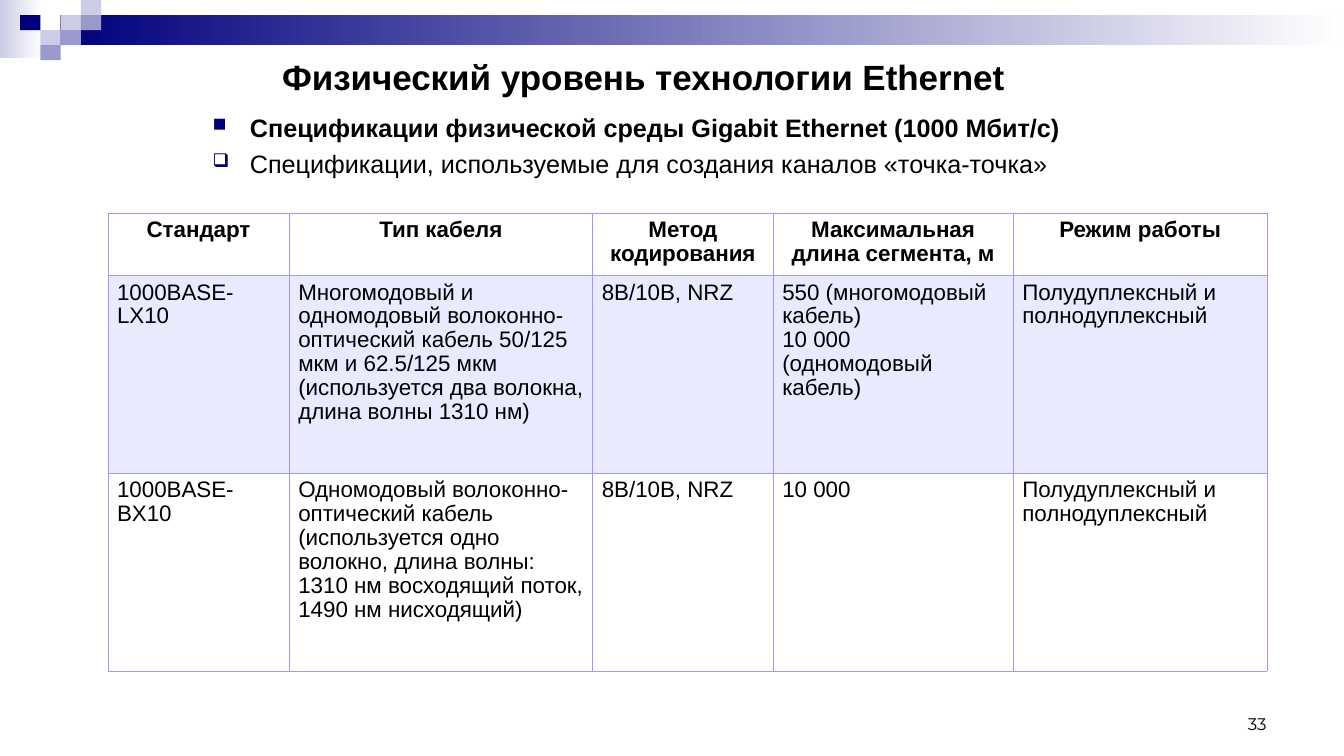
from lxml.etree import SubElement as Sub
from pptx import Presentation as Deck
from pptx.dml.color import RGBColor as Rgb
from pptx.enum.shapes import MSO_SHAPE as Form
from pptx.enum.text import MSO_ANCHOR as Anchor, PP_ALIGN as Align
from pptx.oxml.ns import qn
from pptx.util import Cm, Pt

NAVY, MID, PALE, LINE = "00007D", "9999CC", "CCCCE6", "9999FF"
WHITE, BLACK = "FFFFFF", "000000"
WIDE, HIGH = 0.51, 0.38
TILES = [(3, 1, PALE), (4, 0, PALE), (4, 1, MID), (2, 2, PALE),
         (1, 1, NAVY), (3, 2, MID), (2, 3, MID)]
BARS = [(0, 0, 1.07, 1.47, PALE), (1.52, 0.38, 32.33, 0.76, NAVY)]
COLS = [4.57, 7.65, 4.55, 6.05, 6.4]
ROWS = [1.57, 4.98, 4.98]
CELLS = [
    ["Стандарт", "Тип кабеля", "Метод кодирования",
     "Максимальная длина сегмента, м", "Режим работы"],
    ["1000BASE-LX10",
     "Многомодовый и одномодовый волоконно-оптический кабель 50/125 мкм "
     "и 62.5/125 мкм (используется два волокна, длина волны 1310 нм)",
     "8B/10B, NRZ",
     "550 (многомодовый кабель)\n10 000 (одномодовый кабель)",
     "Полудуплексный и полнодуплексный"],
    ["1000BASE-BX10",
     "Одномодовый волоконно-оптический кабель (используется одно волокно, "
     "длина волны: 1310 нм восходящий поток, 1490 нм нисходящий)",
     "8B/10B, NRZ", "10 000", "Полудуплексный и полнодуплексный"],
]
POINTS = [
    ("■", "Спецификации физической среды Gigabit Ethernet (1000 Мбит/с)",
     True, 0),
    ("❑", "Спецификации, используемые для создания каналов «точка-точка»",
     False, 4.5),
]


def tint(code):
    return Rgb.from_string(code)


def style(item, **vals):
    for name, val in vals.items():
        setattr(item, name, val)


def write(para, text, size, bold=False, face="Arial"):
    run = para.add_run()
    run.text = text
    style(run.font, size=Pt(size), bold=bold, name=face)
    run.font.color.rgb = tint(BLACK)


def block(slide, box):
    shape = slide.shapes.add_shape(Form.RECTANGLE, *map(Cm, box))
    shape.shadow.inherit = False
    shape.line.fill.background()
    return shape


def tile(slide, col, row, code):
    shape = block(slide, (col * WIDE, row * HIGH, WIDE, HIGH))
    shape.fill.solid()
    shape.fill.fore_color.rgb = tint(code)


def fade(slide, box, code):
    fill = block(slide, box).fill
    fill.gradient()
    fill.gradient_angle = 0
    for stop, shade in zip(fill.gradient_stops, (code, WHITE)):
        stop.color.rgb = tint(shade)


def label(slide, box, **vals):
    frame = slide.shapes.add_textbox(*map(Cm, box)).text_frame
    style(frame, word_wrap=True, **vals)
    return frame


def bullet(para, mark):
    props = para._p.get_or_add_pPr()
    props.set("marL", str(Cm(0.94)))
    props.set("indent", str(Cm(-0.94)))
    Sub(Sub(props, qn("a:buClr")), qn("a:srgbClr"), val=NAVY)
    Sub(props, qn("a:buSzPct"), val="75000")
    Sub(props, qn("a:buChar"), char=mark)


def points(slide):
    frame = label(slide, (5.11, 2.62, 23.9, 2.69), margin_top=Cm(0.2))
    for i, (mark, text, bold, gap) in enumerate(POINTS):
        para = frame.add_paragraph() if i else frame.paragraphs[0]
        bullet(para, mark)
        style(para, alignment=Align.JUSTIFY, space_before=Pt(gap))
        write(para, text, 18, bold)


def edge(cell, row):
    props = cell._tc.get_or_add_tcPr()
    thick = {0: "B", 1: "T"}.get(row)
    for side in "LRTB":
        width = Pt(0.96 if side == thick else 0.45)
        line = Sub(props, qn("a:ln" + side), w=str(width))
        Sub(Sub(line, qn("a:solidFill")), qn("a:srgbClr"), val=LINE)


def shade(cell, row):
    if row != 1:
        cell.fill.background()
        return
    cell.fill.solid()
    cell.fill.fore_color.rgb = tint(LINE)
    code = cell._tc.tcPr.find(qn("a:solidFill")).find(qn("a:srgbClr"))
    Sub(code, qn("a:alpha"), val="20000")


def enter(cell, row, text):
    style(cell, margin_left=Cm(0.23), margin_right=Cm(0.23),
          margin_top=Cm(0.13), margin_bottom=Cm(0.13))
    frame = cell.text_frame
    for i, part in enumerate(text.split("\n")):
        para = frame.add_paragraph() if i else frame.paragraphs[0]
        style(para, alignment=Align.LEFT if row else Align.CENTER,
              line_spacing=0.96)
        write(para, part, 16, row == 0)
    edge(cell, row)
    shade(cell, row)


def table(slide):
    box = (2.72, 5.38, sum(COLS), sum(ROWS))
    grid = slide.shapes.add_table(len(ROWS), len(COLS), *map(Cm, box)).table
    style(grid, first_row=False, horz_banding=False)
    for col, width in zip(grid.columns, COLS):
        col.width = Cm(width)
    for row, height in zip(grid.rows, ROWS):
        row.height = Cm(height)
    for r, texts in enumerate(CELLS):
        for c, text in enumerate(texts):
            enter(grid.cell(r, c), r, text)


def main():
    deck = Deck()
    style(deck, slide_width=Cm(33.88), slide_height=Cm(19.05))
    slide = deck.slides.add_slide(deck.slide_layouts[6])
    for *box, code in BARS:
        fade(slide, box, code)
    for col, row, code in TILES:
        tile(slide, col, row, code)
    title = label(slide, (6.86, 1.22, 20.4, 1.42),
                  vertical_anchor=Anchor.MIDDLE)
    write(title.paragraphs[0], "Физический уровень технологии Ethernet",
          25, True)
    points(slide)
    table(slide)
    page = label(slide, (24.28, 17.35, 7.9, 1.27),
                 vertical_anchor=Anchor.BOTTOM).paragraphs[0]
    page.alignment = Align.RIGHT
    write(page, "33", 12, face="Montserrat")
    deck.save("out.pptx")


if __name__ == "__main__":
    main()
